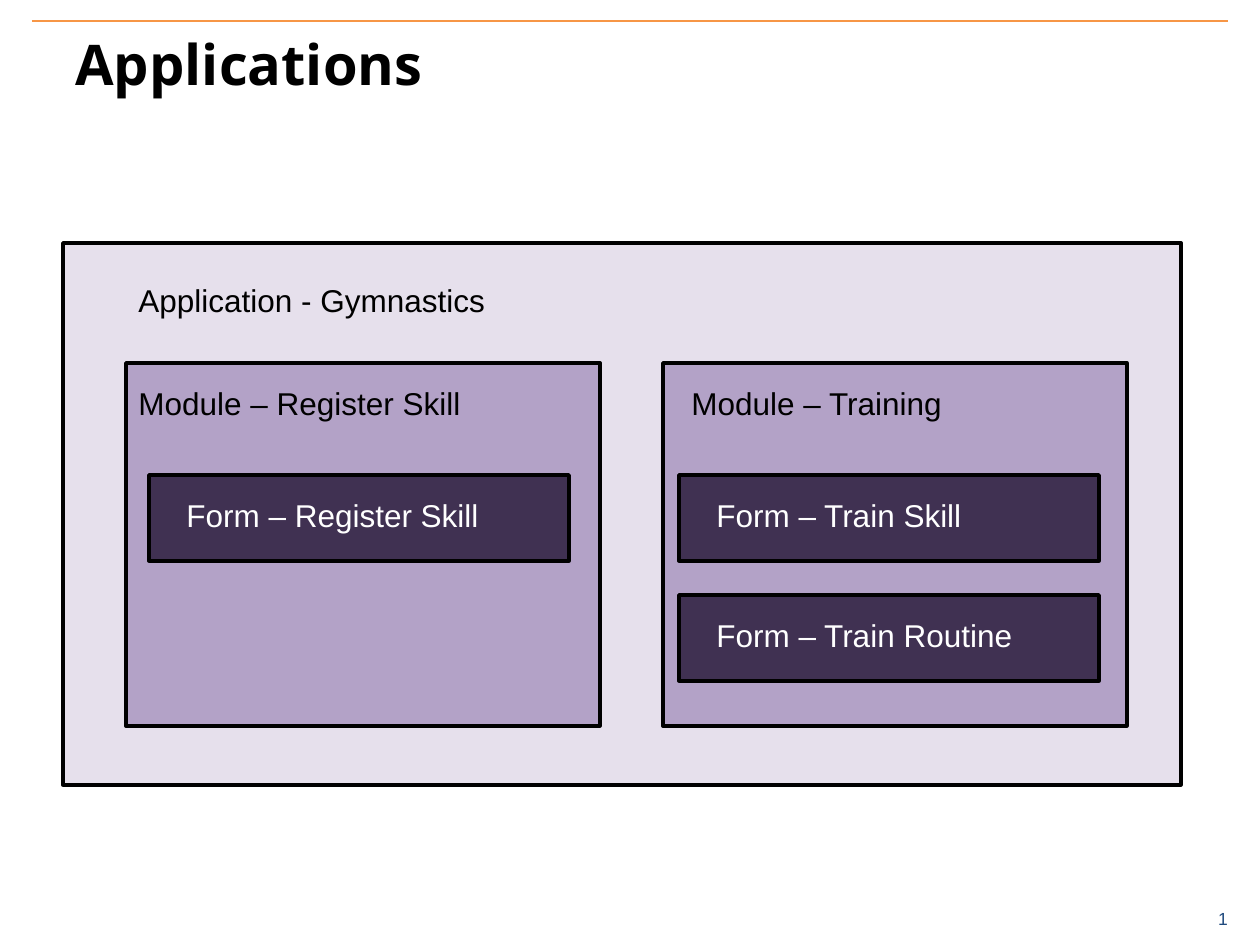
from lxml import etree
from pptx import Presentation
from pptx import util as u
from pptx.dml.color import RGBColor
from pptx.enum import shapes, text
from pptx.oxml.ns import qn

SCALE = 914400 / 126
BLACK, WHITE, ORANGE, NAVY = "000000", "FFFFFF", "F79646", "1F497D"
PALE, LILAC, PLUM = "E6E0EC", "B3A2C7", "403152"
MODULES = [
    ((63, 120, 474, 363), 0, 23, "Module – Register Skill", ["Form – Register Skill"]),
    ((600, 120, 464, 363), 16, 16, "Module – Training",
     ["Form – Train Skill", "Form – Train Routine"]),
]


def px(length):
    """Turn pixels into EMU."""
    return u.Emu(round(length * SCALE))


def color(value):
    """Turn a hex string into a colour."""
    return RGBColor.from_string(value)


def inside(outer, left, top, width, height):
    """Place a box relative to the corner of an outer box."""
    return outer[0] + left, outer[1] + top, width, height


def add_panel(page, box, fill):
    """Draw a filled rectangle with a black outline."""
    panel = page.shapes.add_shape(shapes.MSO_SHAPE.RECTANGLE, *map(px, box))
    panel.shadow.inherit = False
    panel.fill.solid()
    panel.fill.fore_color.rgb = color(fill)
    panel.line.color.rgb = color(BLACK)
    panel.line.width = u.Pt(2)


def add_label(page, box, wording, size=18, ink=BLACK, font="Arial", bold=False,
              anchor=text.MSO_ANCHOR.TOP, align=text.PP_ALIGN.LEFT, wrap=True):
    """Write one line of text in a box."""
    frame = page.shapes.add_textbox(*map(px, box)).text_frame
    frame.word_wrap = wrap
    frame.vertical_anchor = anchor
    para = frame.paragraphs[0]
    para.alignment = align
    span = para.add_run()
    span.text = wording
    span.font.name = font
    span.font.size = u.Pt(size)
    span.font.bold = bold
    span.font.color.rgb = color(ink)


def add_frame(page, box):
    """Draw the top rule, the title and the page number."""
    left, top, width, height = box
    rule = page.shapes.add_connector(
        shapes.MSO_CONNECTOR.STRAIGHT,
        px(left + 32), px(top + 21), px(left + width - 32), px(top + 21))
    rule.line.color.rgb = color(ORANGE)
    rule.line.width = u.Pt(0.75)
    etree.SubElement(rule._element.spPr, qn("a:effectLst"))
    add_label(page, inside(box, 63, 32, 1134, 63), "Applications", 32,
              font="Noto Sans", bold=True, anchor=text.MSO_ANCHOR.MIDDLE)
    add_label(page, inside(box, width - 74, height - 53, 74, 53), "1", 10, NAVY,
              anchor=text.MSO_ANCHOR.MIDDLE, align=text.PP_ALIGN.CENTER, wrap=False)


def add_form(page, box, wording):
    """Draw a form bar with its name."""
    add_panel(page, box, PLUM)
    add_label(page, inside(box, 25, 15, 374, 50), wording, ink=WHITE)


def add_module(page, box, label_left, form_left, wording, forms):
    """Draw a module with its name and its stacked forms."""
    add_panel(page, box, LILAC)
    add_label(page, inside(box, label_left, 15, 518, 50), wording)
    for row, form in enumerate(forms):
        add_form(page, inside(box, form_left, 112 + 120 * row, 420, 86), form)


def add_application(page, box):
    """Draw the application with its name and its modules."""
    add_panel(page, box, PALE)
    add_label(page, inside(box, 63, 32, 518, 50), "Application - Gymnastics")
    for place, *details in MODULES:
        add_module(page, inside(box, *place), *details)


def build():
    """Build and save the deck."""
    deck = Presentation()
    deck.slide_width, deck.slide_height = px(1260), px(945)
    page = deck.slides.add_slide(deck.slide_layouts[6])
    add_frame(page, (0, 0, 1260, 945))
    add_application(page, (63, 243, 1118, 542))
    deck.save("out.pptx")


build()
